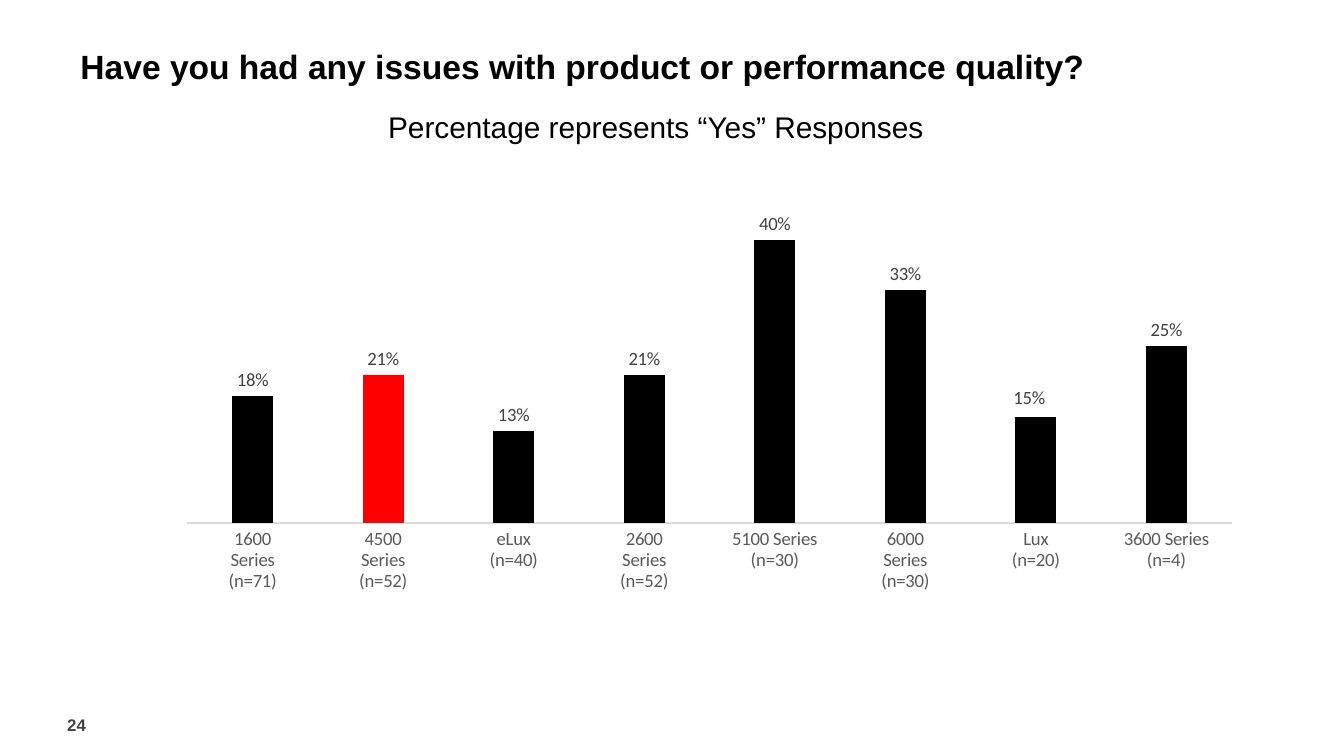
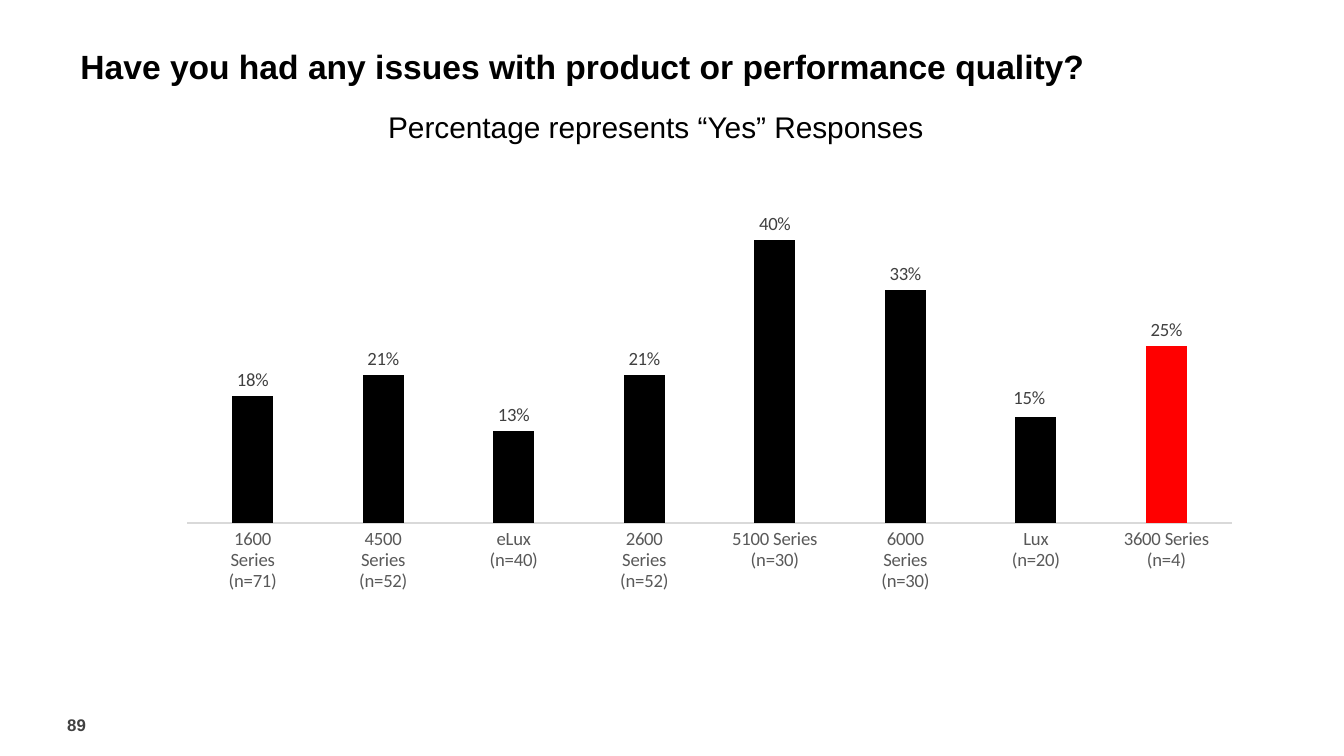
import pptx
import pptx.util
import pptx.chart.data
import pptx.dml.color
import pptx.enum.chart
import pptx.enum.text
import pptx.oxml
import pptx.oxml.ns
from dataclasses import dataclass

TITLE = "Have you had any issues with product or performance quality?"
SUBTITLE = "Percentage represents “Yes” Responses"
RESPONSES = [
    ("1600\nSeries\n(n=71)", 0.18),
    ("4500\nSeries\n(n=52)", 0.21),
    ("eLux\n(n=40)", 0.13),
    ("2600\nSeries\n(n=52)", 0.21),
    ("5100 Series\n(n=30)", 0.40),
    ("6000\nSeries\n(n=30)", 0.33),
    ("Lux\n(n=20)", 0.15),
    ("3600 Series\n(n=4)", 0.25),
]
# Page number and index of the highlighted bar
SLIDES = [("24", 1), ("89", 7)]
NUDGED_LABEL = 6


@dataclass(frozen=True)
class Theme:
    text_font: str = "Arial"
    chart_font: str = "Calibri"
    ink: str = "000000"
    accent: str = "FF0000"
    page_ink: str = "414141"
    label_ink: str = "404040"
    axis_ink: str = "595959"
    axis_line: str = "D9D9D9"
    title_size: int = 18
    subtitle_size: int = 16
    chart_size: int = 10
    page_size: int = 9


THEME = Theme()
WIDTH = pptx.util.Inches(10)
HEIGHT = WIDTH * 9 // 16

# Left, top, width, height in percent of the slide
TITLE_AREA = (5, 5.7, 88.9, 6)
SUBTITLE_AREA = (27.9, 13.5, 44.7, 6.6)
CHART_AREA = (7.1, 17.1, 84.6, 72.7)
PAGE_AREA = (5, 93.7, 7.5, 4.4)
# Percent of the chart
PLOT_AREA = {"x": 8.1, "y": 13.8, "w": 91.9, "h": 57.9}
LABEL_NUDGE = {"x": -0.6, "y": -0.6}


def place(area):
    """Turn percentages of the slide into lengths."""
    return [int(share * side / 100)
            for share, side in zip(area, (WIDTH, HEIGHT) * 2)]


def rgb(color):
    return pptx.dml.color.RGBColor.from_string(color)


def style_font(font, size, color, name, bold=False):
    font.size = pptx.util.Pt(size)
    font.color.rgb = rgb(color)
    font.name = name
    font.bold = bold


def add_text(page, text, area, *, size, color=THEME.ink, bold=False,
             inset=None):
    frame = page.shapes.add_textbox(*place(area)).text_frame
    frame.word_wrap = True
    frame.vertical_anchor = pptx.enum.text.MSO_ANCHOR.MIDDLE
    if inset is not None:
        frame.margin_left = frame.margin_right = inset
        frame.margin_top = frame.margin_bottom = inset
    span = frame.paragraphs[0].add_run()
    span.text = text
    style_font(span.font, size, color, THEME.text_font, bold)


def manual_layout(percents, **modes):
    """Build a chart layout element from modes and percentages."""
    settings = modes | {key: share / 100 for key, share in percents.items()}
    fields = "".join(f'<c:{key} val="{value}"/>'
                     for key, value in settings.items())
    return pptx.oxml.parse_xml(
        f'<c:layout {pptx.oxml.ns.nsdecls("c")}>'
        f"<c:manualLayout>{fields}</c:manualLayout></c:layout>")


def fix_plot_area(chart):
    area = chart.element.xpath(".//c:plotArea")[0]
    for layout in area.xpath("./c:layout"):
        area.remove(layout)
    area.insert(0, manual_layout(PLOT_AREA, layoutTarget="inner",
                                 xMode="edge", yMode="edge"))


def style_axes(chart):
    values = chart.value_axis
    values.visible = False
    values.has_major_gridlines = False
    values.minimum_scale, values.maximum_scale = 0, 0.45
    values.tick_labels.number_format = "0%"
    categories = chart.category_axis
    categories.major_tick_mark = pptx.enum.chart.XL_TICK_MARK.NONE
    categories.format.line.color.rgb = rgb(THEME.axis_line)
    categories.format.line.width = pptx.util.Pt(0.75)
    style_font(categories.tick_labels.font, THEME.chart_size,
               THEME.axis_ink, THEME.chart_font)


def style_labels(chart):
    series = chart.plots[0].series[0]
    nudged = series.points[NUDGED_LABEL].data_label
    labels = series.data_labels
    labels.show_value = True
    labels.number_format, labels.number_format_is_linked = "0%", False
    for label in (labels, nudged):
        label.position = pptx.enum.chart.XL_LABEL_POSITION.OUTSIDE_END
        style_font(label.font, THEME.chart_size, THEME.label_ink,
                   THEME.chart_font)
    index = chart.element.xpath(".//c:dLbl/c:idx")[0]
    index.addnext(manual_layout(LABEL_NUDGE))


def add_response_chart(page, highlight):
    data = pptx.chart.data.CategoryChartData(number_format="0%")
    data.categories = [name for name, _ in RESPONSES]
    data.add_series("Series 1", [value for _, value in RESPONSES])
    chart = page.shapes.add_chart(
        pptx.enum.chart.XL_CHART_TYPE.COLUMN_CLUSTERED,
        *place(CHART_AREA), data).chart
    chart.has_legend = chart.has_title = False
    style_font(chart.font, THEME.chart_size, THEME.ink, THEME.chart_font)
    plot = chart.plots[0]
    plot.vary_by_categories = False
    plot.gap_width, plot.overlap = 219, -27
    series = plot.series[0]
    for bar, color in ((series, THEME.ink),
                       (series.points[highlight], THEME.accent)):
        bar.format.fill.solid()
        bar.format.fill.fore_color.rgb = rgb(color)
    style_axes(chart)
    style_labels(chart)
    fix_plot_area(chart)


def main():
    deck = pptx.Presentation()
    deck.slide_width, deck.slide_height = WIDTH, HEIGHT
    for number, highlight in SLIDES:
        page = deck.slides.add_slide(deck.slide_layouts[6])
        add_text(page, TITLE, TITLE_AREA, size=THEME.title_size, bold=True)
        add_text(page, number, PAGE_AREA, size=THEME.page_size,
                 color=THEME.page_ink, bold=True, inset=0)
        add_text(page, SUBTITLE, SUBTITLE_AREA, size=THEME.subtitle_size)
        add_response_chart(page, highlight)
    deck.save("out.pptx")


if __name__ == "__main__":
    main()
